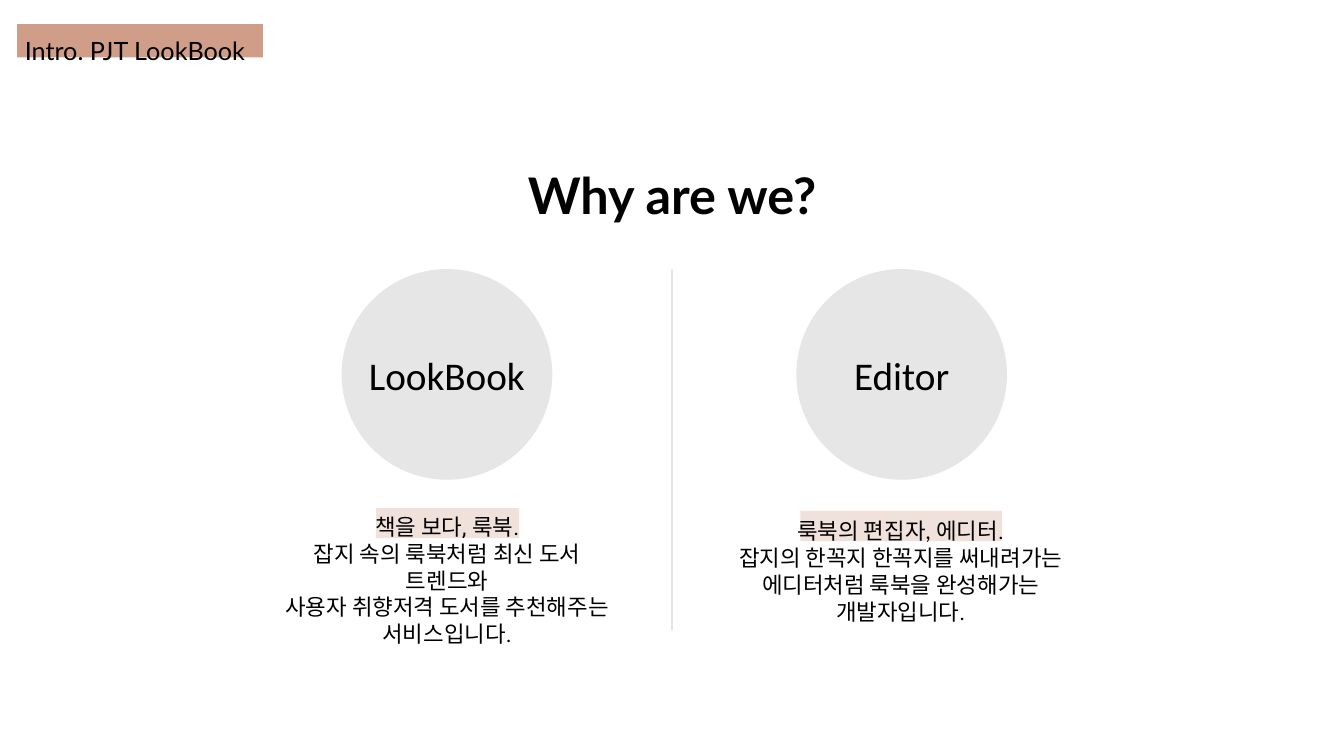
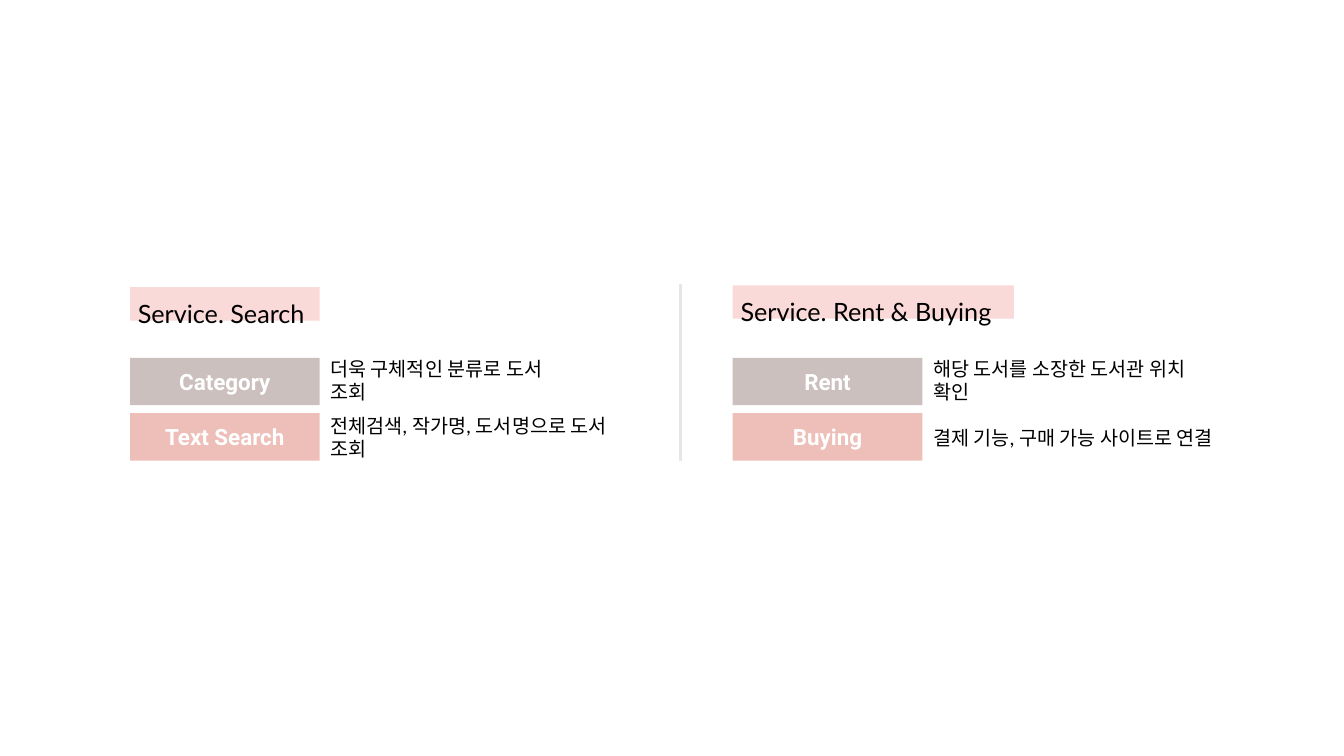
from lxml import etree
from pptx import Presentation
from pptx.dml.color import RGBColor
from pptx.enum import shapes, text
from pptx.oxml.ns import qn
from pptx.util import Pt

BLACK = RGBColor(0, 0, 0)
WHITE = RGBColor(255, 255, 255)
GRAY = RGBColor(0xE7, 0xE6, 0xE6)
CLAY = RGBColor(0xD0, 0x9E, 0x88)
PINK = RGBColor(0xFA, 0xDA, 0xD8)
MAUVE = RGBColor(0x9B, 0x82, 0x81)
CORAL = RGBColor(0xDE, 0x7E, 0x73)
RECT = shapes.MSO_SHAPE.RECTANGLE
OVAL = shapes.MSO_SHAPE.OVAL
LEFT, MID = text.PP_ALIGN.LEFT, text.PP_ALIGN.CENTER


def block(slide, kind, box, fill, alpha=100):
    shape = slide.shapes.add_shape(kind, *map(Pt, box))
    shape.shadow.inherit = False
    shape.line.fill.background()
    shape.fill.solid()
    shape.fill.fore_color.rgb = fill
    if alpha < 100:
        color = shape.fill._xPr.find(qn("a:solidFill"))[0]
        etree.SubElement(color, qn("a:alpha")).set("val", str(alpha * 1000))
    return shape


def write(shape, lines, size, name, align=LEFT, color=BLACK, bold=False):
    frame = shape.text_frame
    frame.word_wrap = True
    for i, line in enumerate(lines):
        para = frame.add_paragraph() if i else frame.paragraphs[0]
        para.alignment = align
        font = para.font
        font.size, font.name, font.bold = Pt(size), name, bold
        font.color.rgb = color
        for j, part in enumerate(line if isinstance(line, list) else [line]):
            run = para.add_run()
            run.text = part
            if j == 1:
                run.font.name = "Lato"
    return frame


deck = Presentation()
deck.slide_width, deck.slide_height = Pt(960), Pt(540)
intro, service = [deck.slides.add_slide(deck.slide_layouts[6]) for _ in range(2)]

heads = [
    (intro, 12.2, 17.3, 175.7, CLAY, "Intro. PJT LookBook"),
    (service, 92.9, 205.2, 135.4, PINK, "Service. Search"),
    (service, 523.4, 203.8, 200.9, PINK, "Service. Rent & Buying"),
]
for slide, x, y, wide, fill, head in heads:
    block(slide, RECT, (x, y, wide, 23.8), fill)
    box = slide.shapes.add_textbox(Pt(x - 1.5), Pt(y - 17.3), Pt(wide + 12), Pt(45.4))
    write(box, [head], 18, "Lato").paragraphs[0].line_spacing = 2.0

title = intro.shapes.add_textbox(Pt(364.5), Pt(113.8), Pt(231), Pt(51))
write(title, ["Why are we?"], 36, "Lato", MID, bold=True).word_wrap = False

roles = [
    ("LookBook", 244, (268.6, 362.9, 102.2, 21.6), (186.5, 362.9),
     ["책을 보다, 룩북.", "잡지 속의 룩북처럼 최신 도서 트렌드와",
      "사용자 취향저격 도서를 추천해주는", "서비스입니다."]),
    ("Editor", 568.8, (571.7, 365, 144, 21.6), (510.5, 365.8),
     [["룩북의 편집자", ", ", "에디터."], "잡지의 한꼭지 한꼭지를 써내려가는",
      "에디터처럼 룩북을 완성해가는", "개발자입니다."]),
]
for name, x, mark, spot, lines in roles:
    disc = block(intro, OVAL, (x, 192.2, 150.5, 150.5), GRAY)
    write(disc, [name], 28, "Calibri", MID).word_wrap = False
    block(intro, RECT, mark, CLAY, 30)
    body = intro.shapes.add_textbox(*map(Pt, spot), Pt(265.7), Pt(85))
    write(body, lines, 16, "Roboto", MID)

parts = [
    (92.9, [("Category", "더욱 구체적인 분류로 도서 조회", 188),
            ("Text Search", "전체검색, 작가명, 도서명으로 도서 조회", 229)]),
    (523.4, [("Rent", "해당 도서를 소장한 도서관 위치 확인", 216.7),
             ("Buying", "결제 기능, 구매 가능 사이트로 연결", 221.8)]),
]
for x, rows in parts:
    for i, (name, note, wide) in enumerate(rows):
        label = block(service, RECT, (x, 255.6 + 39.6 * i, 135.4, 33.8),
                      (MAUVE, CORAL)[i], 50)
        write(label, [name], 16, "Roboto", MID, WHITE, True)
        box = service.shapes.add_textbox(Pt(x + 136), Pt(259.2 + 41 * i), Pt(wide), Pt(24.5))
        write(box, [note], 14, "Lato").vertical_anchor = text.MSO_ANCHOR.MIDDLE

for slide, x, top, end in [(intro, 480, 192.2, 450), (service, 486, 203, 329)]:
    rule = slide.shapes.add_connector(
        shapes.MSO_CONNECTOR.STRAIGHT, Pt(x), Pt(top), Pt(x), Pt(end))
    rule.line.color.rgb = GRAY
    rule.line.width = Pt(2)
    etree.SubElement(rule._element.spPr, qn("a:effectLst"))

deck.save("out.pptx")
